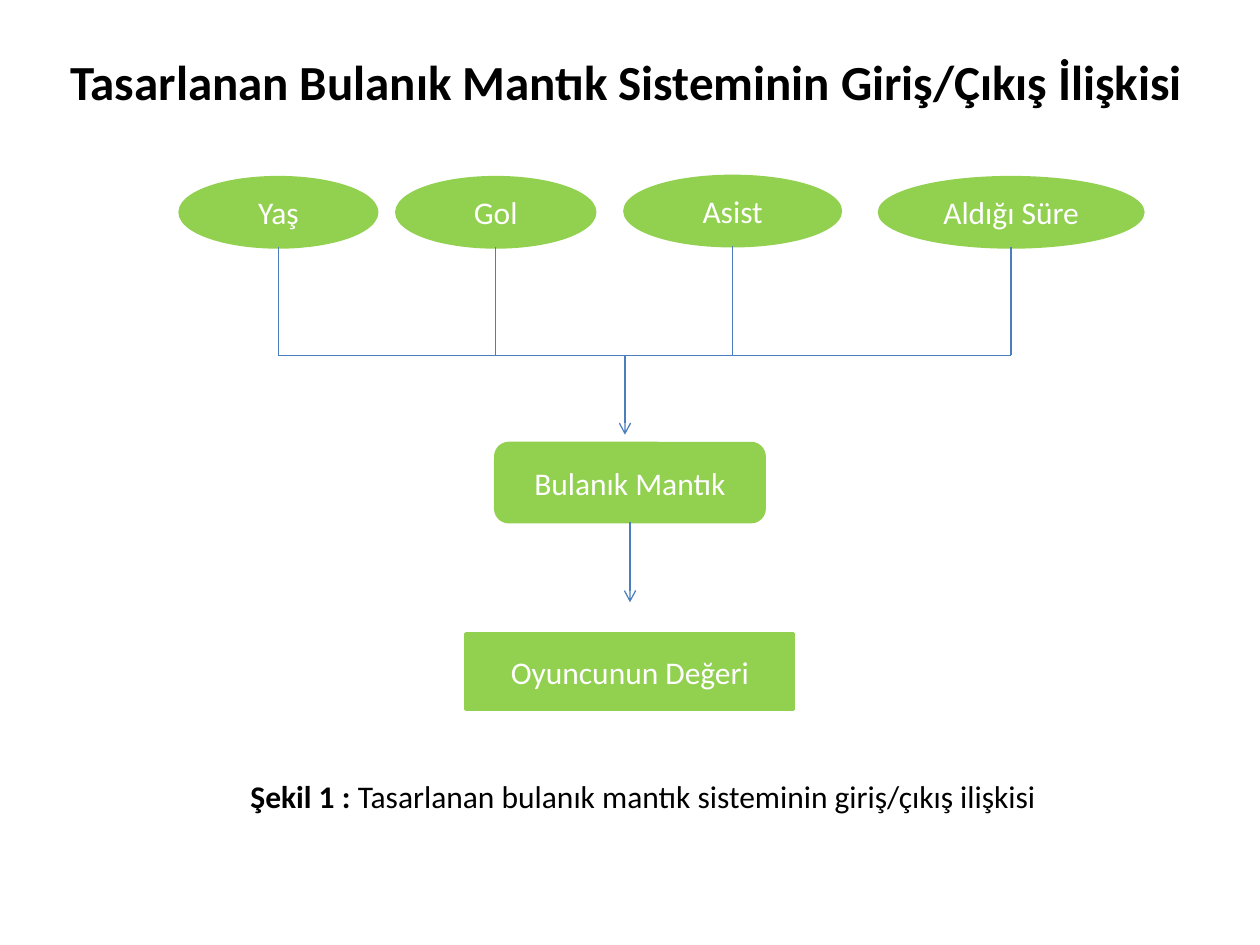
from lxml import etree
from pptx import Presentation
from pptx.dml.color import RGBColor
from pptx.enum import shapes, text
from pptx.oxml import ns
from pptx.util import Inches, Pt

COLORS = {"node": "92D050", "line": "4B7EBC", "dark": "000000", "light": "FFFFFF"}
FONT = "Calibri"
ELLIPSE = shapes.MSO_SHAPE.OVAL
ROUNDED = shapes.MSO_SHAPE.ROUNDED_RECTANGLE
RECTANGLE = shapes.MSO_SHAPE.RECTANGLE

TITLE = "Tasarlanan Bulanık Mantık Sisteminin Giriş/Çıkış İlişkisi"
CAPTION = [("Şekil 1 : ", True),
           ("Tasarlanan bulanık mantık sisteminin giriş/çıkış ilişkisi", False)]
# label, left, top, width
INPUTS = [("Yaş", 1.43, 1.41, 1.56), ("Gol", 3.15, 1.41, 1.57),
          ("Asist", 4.96, 1.4, 1.71), ("Aldığı Süre", 6.98, 1.41, 2.09)]
INPUT_HEIGHT = 0.55
# label, shape, top, width, height
STAGES = [("Bulanık Mantık", ROUNDED, 3.52, 2.13, 0.62),
          ("Oyuncunun Değeri", RECTANGLE, 5.03, 2.6, 0.6)]
CENTER = 5
BUS_Y = 2.82
BUS_EXIT = 4.96
ARROWS = [(BUS_EXIT, BUS_Y, 3.45), (CENTER, 4.14, 4.78)]  # x, start, end


def color(name):
    return RGBColor.from_string(COLORS[name])


def write(frame, spans, size=18, ink="dark", align=text.PP_ALIGN.CENTER):
    """Fill a text frame with one paragraph of (words, bold) spans."""
    para = frame.paragraphs[0]
    para.alignment = align
    for words, bold in spans:
        span = para.add_run()
        span.text = words
        span.font.name = FONT
        span.font.size = Pt(size)
        span.font.bold = bold
        span.font.color.rgb = color(ink)


def add_text(page, spans, left, top, width, height, **style):
    box = page.shapes.add_textbox(*map(Inches, (left, top, width, height)))
    box.text_frame.word_wrap = True
    write(box.text_frame, spans, **style)


def add_node(page, label, kind, left, top, width, height):
    node = page.shapes.add_shape(kind, *map(Inches, (left, top, width, height)))
    node.shadow.inherit = False
    node.fill.solid()
    node.fill.fore_color.rgb = color("node")
    node.line.color.rgb = color("node")
    node.line.width = Pt(2)
    node.text_frame.word_wrap = True
    node.text_frame.vertical_anchor = text.MSO_ANCHOR.MIDDLE
    write(node.text_frame, [(label, False)], ink="light")


def add_line(page, x1, y1, x2, y2, arrow=False):
    line = page.shapes.add_connector(
        shapes.MSO_CONNECTOR.STRAIGHT, *map(Inches, (x1, y1, x2, y2)))
    line.line.color.rgb = color("line")
    line.line.width = Pt(0.75)
    if arrow:
        etree.SubElement(line.line._get_or_add_ln(), ns.qn("a:tailEnd"), type="arrow")
    etree.SubElement(line._element.spPr, ns.qn("a:effectLst"))


def main():
    deck = Presentation()
    deck.slide_width, deck.slide_height = Inches(10), Inches(7.5)
    page = deck.slides.add_slide(deck.slide_layouts[6])

    add_text(page, [(TITLE, True)], 0.46, 0.36, 9.29, 0.57,
             size=28, align=text.PP_ALIGN.LEFT)
    add_text(page, CAPTION, 1.77, 6.12, 6.67, 0.4)

    for label, left, top, width in INPUTS:
        add_node(page, label, ELLIPSE, left, top, width, INPUT_HEIGHT)
    for label, kind, top, width, height in STAGES:
        add_node(page, label, kind, CENTER - width / 2, top, width, height)

    stems = [(left + width / 2, top + INPUT_HEIGHT) for _, left, top, width in INPUTS]
    for x, y in stems:
        add_line(page, x, y, x, BUS_Y)
    add_line(page, stems[0][0], BUS_Y, stems[-1][0], BUS_Y)
    for x, start, end in ARROWS:
        add_line(page, x, start, x, end, arrow=True)

    deck.save("out.pptx")


if __name__ == "__main__":
    main()
